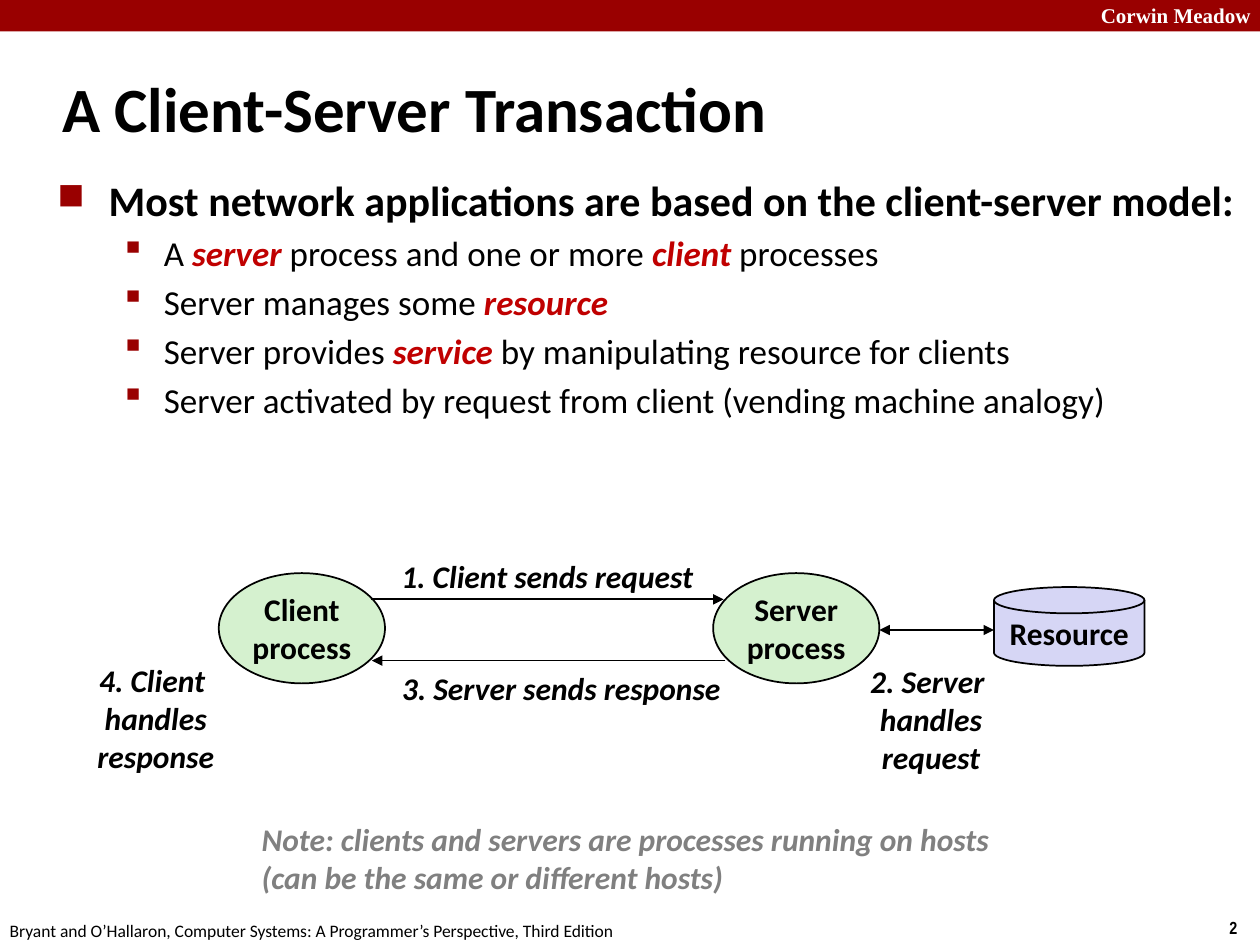
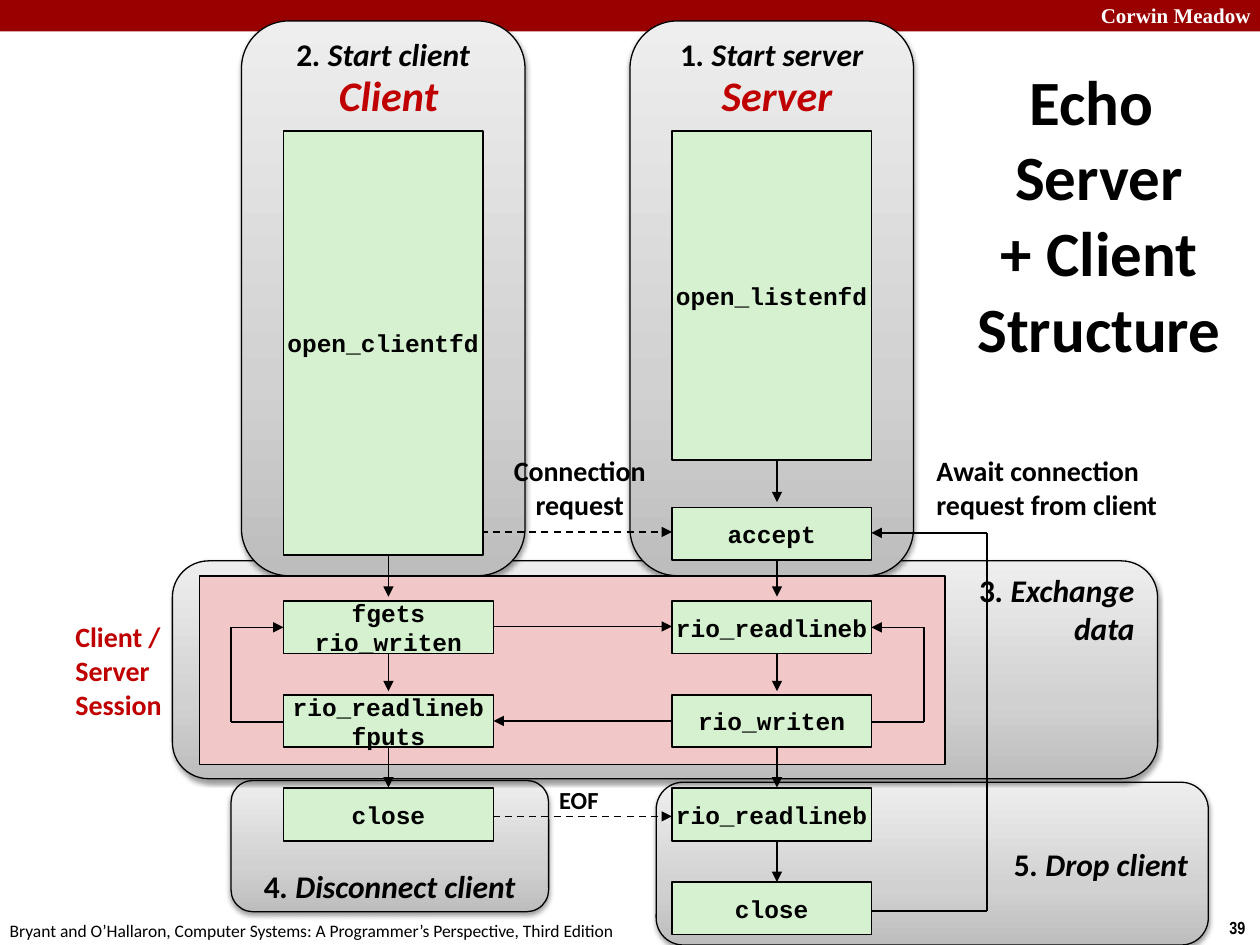
from copy import deepcopy

from lxml.etree import SubElement
from pptx import Presentation
from pptx.dml.color import RGBColor
from pptx.enum.dml import MSO_LINE
from pptx.enum.shapes import MSO_CONNECTOR, MSO_SHAPE
from pptx.enum.text import MSO_ANCHOR, PP_ALIGN
from pptx.oxml.ns import qn
from pptx.util import Pt

BLACK = RGBColor(0x00, 0x00, 0x00)
WHITE = RGBColor(0xFF, 0xFF, 0xFF)
CRIMSON = RGBColor(0x99, 0x00, 0x00)
RED = RGBColor(0xC0, 0x00, 0x00)
GREY = RGBColor(0x80, 0x80, 0x80)
GREEN = RGBColor(0xD5, 0xF1, 0xCF)
LAVENDER = RGBColor(0xD6, 0xD6, 0xF5)
PINK = RGBColor(0xF1, 0xC7, 0xC7)
BAND_STOPS = [(0, RGBColor(0xBD, 0xBD, 0xBD)),
              (0.35, RGBColor(0xD1, 0xD1, 0xD1)),
              (1, RGBColor(0xEE, 0xEE, 0xEE))]

LEFT, CENTER, RIGHT = PP_ALIGN.LEFT, PP_ALIGN.CENTER, PP_ALIGN.RIGHT
TOP, MIDDLE, BOTTOM = MSO_ANCHOR.TOP, MSO_ANCHOR.MIDDLE, MSO_ANCHOR.BOTTOM


# ---------- shared helpers ----------
def points(*lengths):
    return [Pt(length) for length in lengths]


def write(shape, text, size=18, font="Calibri", color=BLACK, bold=True, italic=False,
          align=CENTER, anchor=MIDDLE, wrap=False, accent=None):
    """One paragraph per line; parts between asterisks are bold italic."""
    frame = shape.text_frame
    frame.word_wrap = wrap
    frame.vertical_anchor = anchor
    for number, line in enumerate(text.split("\n")):
        paragraph = frame.add_paragraph() if number else frame.paragraphs[0]
        paragraph.alignment = align
        style = paragraph.font
        style.name, style.size = font, Pt(size)
        style.bold, style.italic = bold, italic
        style.color.rgb = color
        if "*" not in line:
            paragraph.text = line
            continue
        for part, words in enumerate(line.split("*")):
            if not words:
                continue
            run = paragraph.add_run()
            run.text = words
            if part % 2:
                run.font.bold = run.font.italic = True
                if accent is not None:
                    run.font.color.rgb = accent
    return frame


def label(slide, box, text, **style):
    return write(slide.shapes.add_textbox(*points(*box)), text, **style)


def node(slide, kind, box, fill, text="", **style):
    shape = slide.shapes.add_shape(kind, *points(*box))
    shape.shadow.inherit = False
    shape.fill.solid()
    shape.fill.fore_color.rgb = fill
    shape.line.color.rgb = BLACK
    shape.line.width = Pt(1)
    if text:
        write(shape, text, **style)
    return shape


def arrow(slide, *stops, dashed=False, both=False):
    """Straight lines through the stops, with an arrowhead at the last one."""
    for start, end in zip(stops, stops[1:]):
        line = slide.shapes.add_connector(MSO_CONNECTOR.STRAIGHT, *points(*start, *end))
        line.line.color.rgb = BLACK
        line.line.width = Pt(1)
        if dashed:
            line.line.dash_style = MSO_LINE.DASH
        outline = line.line._get_or_add_ln()
        if both:
            SubElement(outline, qn("a:headEnd"), type="triangle")
        if end == stops[-1]:
            SubElement(outline, qn("a:tailEnd"), type="triangle")
        SubElement(line._element.spPr, qn("a:effectLst"))


def hang(paragraph, left, first):
    properties = paragraph._p.get_or_add_pPr()
    properties.set("marL", str(Pt(left)))
    properties.set("indent", str(Pt(first)))
    return properties


def title(slide, box, text, align=LEFT):
    frame = label(slide, box, text, size=36, align=align, wrap=True)
    hang(frame.paragraphs[0], 9, -9)


def new_slide(deck, number):
    slide = deck.slides.add_slide(deck.slide_layouts[6])
    # Top band and footers
    band = node(slide, MSO_SHAPE.RECTANGLE, (0, 0, 720, 18), CRIMSON)
    band.line.fill.background()
    label(slide, (622, -2, 103, 22), "Corwin Meadow", size=12, font="Times New Roman",
          color=WHITE, align=LEFT, anchor=TOP, wrap=True)
    label(slide, (695.5, 520.5, 24.5, 19.5), number, size=10, font="Arial Narrow",
          align=LEFT, anchor=TOP)
    label(slide, (-1.5, 522, 366, 19.5),
          "Bryant and O’Hallaron, Computer Systems: A Programmer’s Perspective, Third Edition",
          size=10, bold=False, align=LEFT, anchor=TOP)
    return slide


# ---------- client-server transaction ----------
def bullets(slide, box, heading, points_made):
    frame = label(slide, box, "\n".join([heading] + points_made), size=20, bold=False,
                  align=LEFT, anchor=TOP, wrap=True, accent=RED)
    for level, paragraph in enumerate(frame.paragraphs):
        if level == 0:
            paragraph.font.size, paragraph.font.bold = Pt(24), True
            properties = hang(paragraph, 27, -27)
            symbols, mark, scale = "Wingdings 2", "¢", "60000"
        else:
            paragraph.level = 1
            properties = hang(paragraph, 58.5, -22.5)
            symbols, mark, scale = "Wingdings", "§", "110000"
        paragraph.space_before = Pt(paragraph.font.size.pt * 0.2)
        # Square bullets; their parts precede the default run properties
        defaults = properties.find(qn("a:defRPr"))
        colour = SubElement(properties, qn("a:buClr"))
        SubElement(colour, qn("a:srgbClr"), val=str(CRIMSON))
        SubElement(properties, qn("a:buSzPct"), val=scale)
        SubElement(properties, qn("a:buFont"), typeface=symbols, charset="2")
        SubElement(properties, qn("a:buChar"), char=mark)
        properties.append(defaults)


def transaction(slide, box):
    x, y, width, height = box
    # Processes and resource
    for left, name in ((77, "Client"), (359.5, "Server")):
        node(slide, MSO_SHAPE.OVAL, (x + left, y + 13.5, 95, 63), GREEN, name + "\nprocess")
    node(slide, MSO_SHAPE.FLOWCHART_MAGNETIC_DISK, (x + width - 86, y + 21.5, 86, 45),
         LAVENDER, "Resource")
    # Messages
    arrow(slide, (x + 164, y + 28.5), (x + 365.5, y + 28.5))
    arrow(slide, (x + 366.5, y + 63.5), (x + 164.5, y + 63.5))
    arrow(slide, (x + 454.5, y + 46), (x + width - 86, y + 46), both=True)
    # Numbered steps
    for left, top, wide, high, step in (
            (173, 0.5, 183.5, 29, "1. Client sends request"),
            (441.5, 60.5, 85, 72.5, "2. Server \nhandles\nrequest"),
            (173, 64.5, 199.5, 29, "3. Server sends response"),
            (0, 60, 82, 72.5, "4. Client \nhandles\nresponse")):
        label(slide, (x + left, y + top, wide, high), step, italic=True)


# ---------- echo server and client ----------
def stage_band(slide, box, text, align=CENTER, anchor=TOP, heading=None):
    band = node(slide, MSO_SHAPE.ROUNDED_RECTANGLE, box, WHITE, text,
                align=align, anchor=anchor, wrap=True)
    band.text_frame.margin_top = 0
    if anchor != TOP:
        band.text_frame.margin_bottom = 0
    band.line.width = Pt(0.75)
    # Three-stop gradient, dark at the bottom
    band.fill.gradient()
    band.fill.gradient_angle = 90
    properties = band._element.spPr
    stops = properties.find(".//" + qn("a:gsLst"))
    stops.append(deepcopy(stops[0]))
    for stop, (position, colour) in zip(band.fill.gradient_stops, BAND_STOPS):
        stop.position = position
        stop.color.rgb = colour
    # Soft shadow below
    shadow = SubElement(properties.find(qn("a:effectLst")), qn("a:outerShdw"),
                        blurRad=str(Pt(3.1)), dist=str(Pt(1.6)), dir="5400000",
                        rotWithShape="0")
    tint = SubElement(shadow, qn("a:srgbClr"), val=str(BLACK))
    SubElement(tint, qn("a:alpha"), val="38000")
    if heading:
        x, y, width, height = box
        label(slide, (x + 34, y + 24, width - 62, 36), heading, size=24, color=RED,
              italic=True)


def session(slide, box):
    x, y, width, height = box
    node(slide, MSO_SHAPE.RECTANGLE, box, PINK)
    # Loops back to the first call on each side
    for side, turn in ((x + width - 42, x + width - 12), (x + 48, x + 18)):
        arrow(slide, (side, y + 83.5), (turn, y + 83.5), (turn, y + 29.5), (side, y + 29.5))
    label(slide, (x - 78, y + 21.5, 66, 65), "Client / Server\nSession", size=16,
          color=RED, align=LEFT, wrap=True)


def call_flow(slide, box):
    x, y, width, height = box
    server = x + 222
    first_row, row_step, row_height = y + 215, 53.5, 30
    # Steps down each column
    drops = [188, 242, 296, 351, 405]
    for middle, starts in ((x + 60, drops[1:4]), (server + 60, drops)):
        for start in starts:
            arrow(slide, (middle, y + start), (middle, y + start + 24))
    # Messages between the columns
    arrow(slide, (x + 120, y + 283), (server, y + 283))
    arrow(slide, (server, y + 337), (x + 120, y + 337))
    for level in (229, 391.5):
        arrow(slide, (x + 78, y + level), (server, y + level), dashed=True)
    # Back to accept
    arrow(slide, (server + 114, y + 445.5), (x + width, y + 445.5),
          (x + width, y + 229.5), (server + 114, y + 229.5))

    # Calls
    def call(left, top, wide, high, text):
        node(slide, MSO_SHAPE.RECTANGLE, (left, top, wide, high), GREEN, text, size=14,
             font="Courier New")

    call(x, y, 114, 242, "open_clientfd")
    call(server, y, 114, 188, "open_listenfd")
    columns = (
        (x, 120, [None, "fgets\nrio_writen", "rio_readlineb\nfputs", "close"]),
        (server, 114, ["accept", "rio_readlineb", "rio_writen", "rio_readlineb", "close"]))
    for left, wide, calls in columns:
        for row, text in enumerate(calls):
            if text:
                call(left, first_row + row * row_step, wide, row_height, text)
    # Notes on the messages
    label(slide, (x + 124, y + 180.5, 90.5, 46), "Connection\nrequest", size=16)
    label(slide, (x + 366, y + 180.5, 144, 46), "Await connection\nrequest from client",
          size=16, align=LEFT)
    label(slide, (x + 150, y + 370, 37.5, 24.5), "EOF", size=14)


# ---------- slides ----------
deck = Presentation()
deck.slide_width, deck.slide_height = Pt(720), Pt(540)

slide = new_slide(deck, "2")
title(slide, (28.5, 39, 564, 45), "A Client-Server Transaction")
bullets(slide, (28, 96, 685.5, 162),
        "Most network applications are based on the client-server model:",
        ["A *server* process and one or more *client *processes",
         "Server manages some *resource*",
         "Server provides *service* by manipulating resource for clients",
         "Server activated by request from client (vending machine analogy)"])
transaction(slide, (48, 314, 606, 133))
label(slide, (142.5, 465, 440, 51),
      "Note: clients and servers are processes running on hosts \n"
      "(can be the same or different hosts)",
      color=GREY, italic=True, align=LEFT, anchor=TOP)

slide = new_slide(deck, "39")
stage_band(slide, (375, 447, 315.5, 93), "5*. Drop client*", RIGHT, MIDDLE)
stage_band(slide, (132, 446, 181.5, 75), "4*. Disconnect client*", CENTER, BOTTOM)
stage_band(slide, (98.5, 320.5, 563, 124.5), "3*. Exchange*\n*data*", RIGHT)
stage_band(slide, (138, 12, 162, 317), "2*. Start client*", heading="Client")
stage_band(slide, (360, 12, 162, 317), "1*. Start server*", heading="Server")
session(slide, (114, 329, 426, 108))
title(slide, (539.5, 75, 168, 94), "Echo\vServer\v+ Client\vStructure", CENTER)
call_flow(slide, (162, 75, 402, 459))

deck.save("out.pptx")
